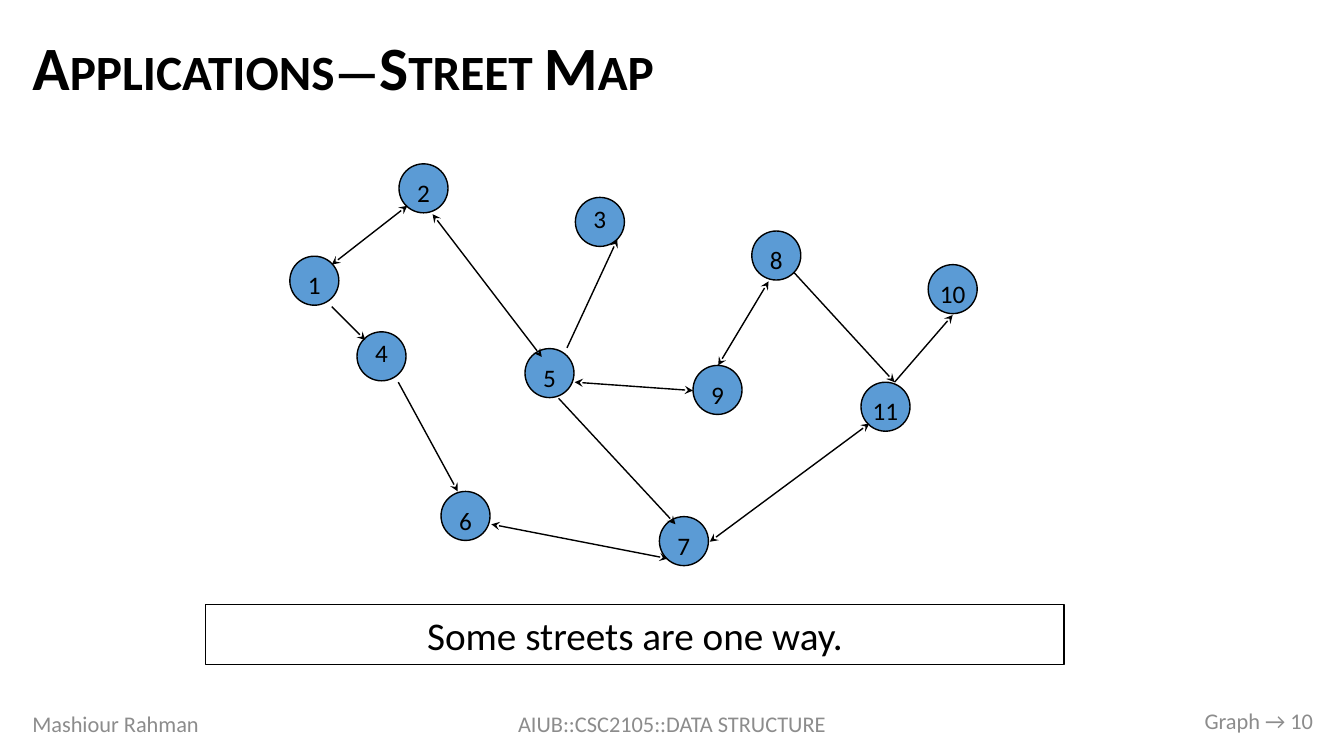
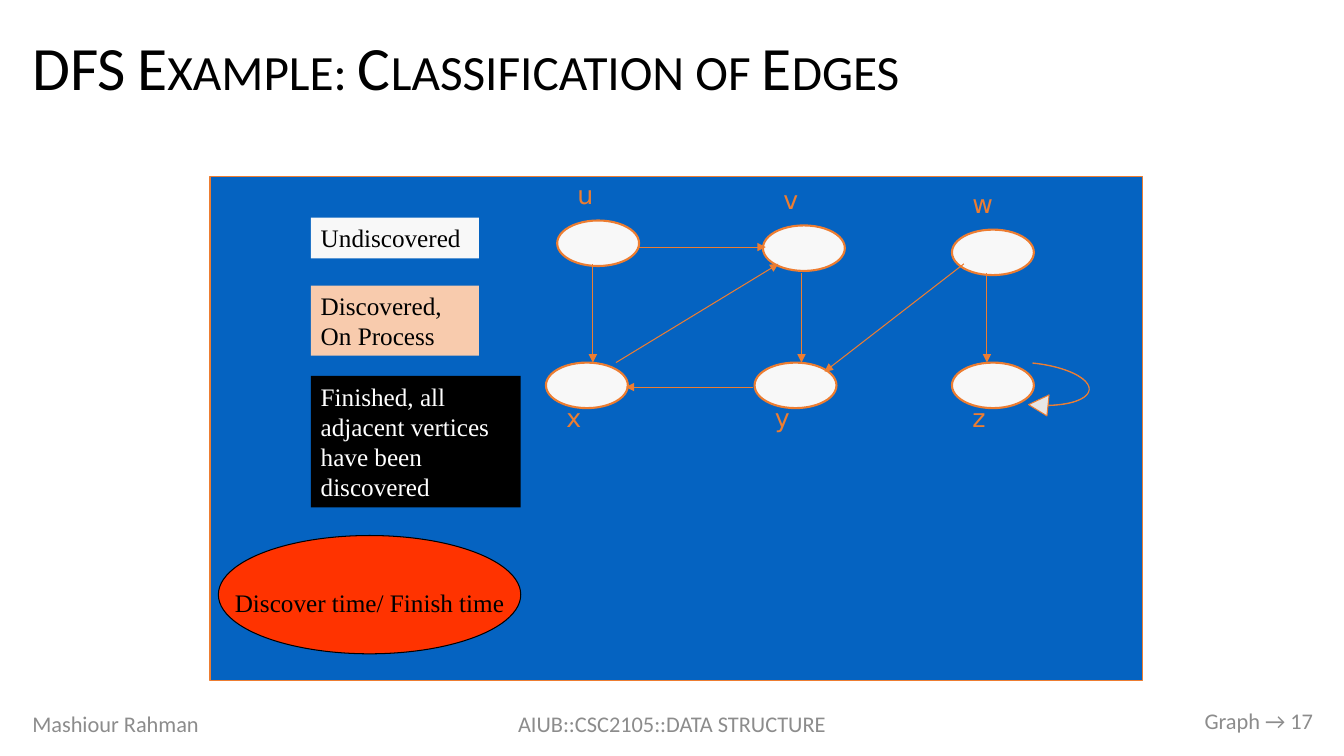
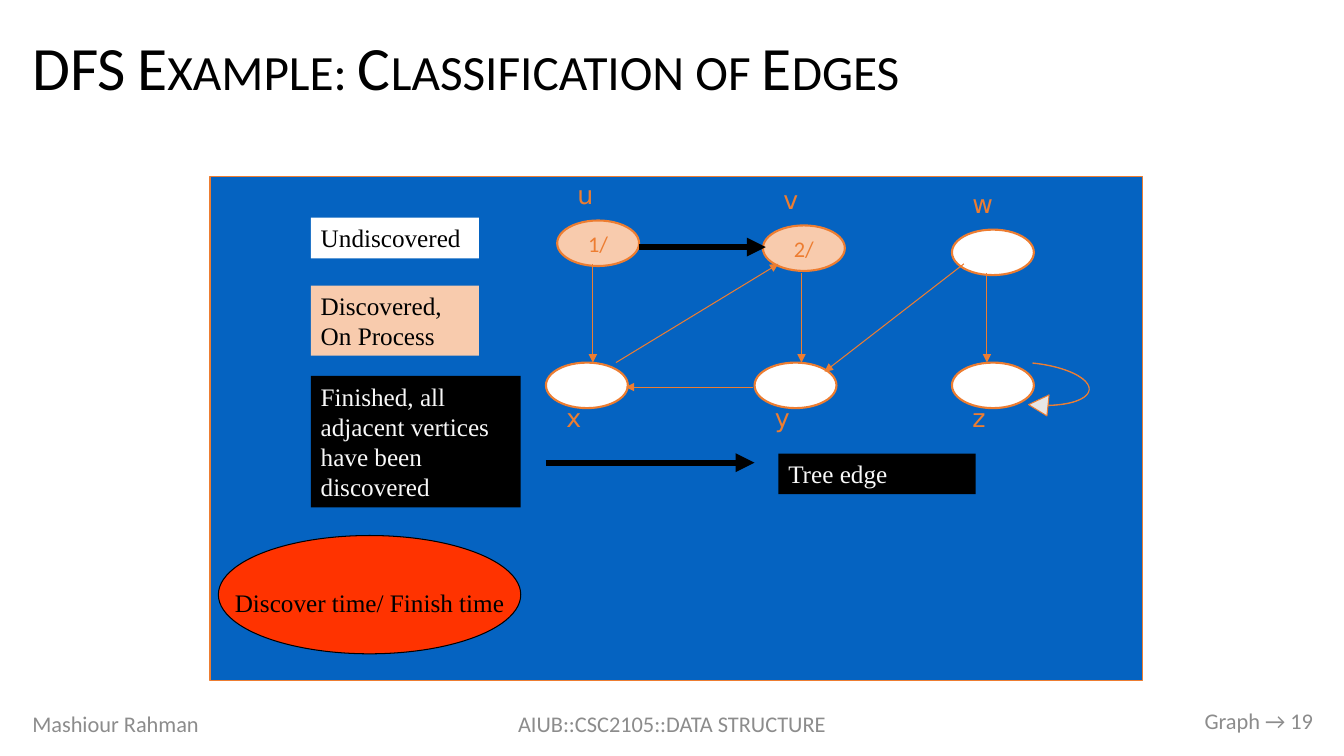
from lxml import etree
from pptx import Presentation
from pptx.dml.color import RGBColor
from pptx.enum.shapes import MSO_CONNECTOR, MSO_SHAPE
from pptx.enum.text import MSO_ANCHOR, MSO_AUTO_SIZE, PP_ALIGN
from pptx.oxml.ns import qn
from pptx.util import Pt

RECT, OVAL = MSO_SHAPE.RECTANGLE, MSO_SHAPE.OVAL
LOOP_ARROW = MSO_SHAPE.CURVED_DOWN_ARROW
STRAIGHT = MSO_CONNECTOR.STRAIGHT
LEFT, CENTER, RIGHT = PP_ALIGN.LEFT, PP_ALIGN.CENTER, PP_ALIGN.RIGHT
TOP, MIDDLE = MSO_ANCHOR.TOP, MSO_ANCHOR.MIDDLE

BLACK = RGBColor(0x00, 0x00, 0x00)
WHITE = RGBColor(0xFF, 0xFF, 0xFF)
OFF_WHITE = RGBColor(0xF8, 0xF8, 0xF8)
GRAY = RGBColor(0x8C, 0x8C, 0x8C)
LIGHT_GRAY = RGBColor(0xE7, 0xE6, 0xE6)
NODE_BLUE = RGBColor(0x5B, 0x9B, 0xD5)
PANEL_BLUE = RGBColor(0x05, 0x63, 0xC1)
ORANGE = RGBColor(0xED, 0x7D, 0x31)
PEACH = RGBColor(0xF8, 0xCB, 0xAD)
RED = RGBColor(0xFF, 0x33, 0x00)

SANS, LABEL_FONT, SERIF = "Calibri", "DejaVu Sans", "Times New Roman"


def put(slide, text, box, kind=None, fill=None, line=None, line_width=1, font=SANS,
        size=18, color=BLACK, align=LEFT, anchor=TOP, wrap=True,
        insets=(7.2, 3.6, 7.2, 3.6)):
    """Place a text box, or a preset shape when kind is given; insets run left, top, right, bottom."""
    box = [Pt(v) for v in box]
    if kind is None:
        shape = slide.shapes.add_textbox(*box)
    else:
        shape = slide.shapes.add_shape(kind, *box)
        shape.shadow.inherit = False
        if fill is None:
            shape.fill.background()
        else:
            shape.fill.solid()
            shape.fill.fore_color.rgb = fill
        if line is None:
            shape.line.fill.background()
        else:
            shape.line.color.rgb = line
            shape.line.width = Pt(line_width)
    if text:
        frame = shape.text_frame
        frame.word_wrap = wrap
        frame.vertical_anchor = anchor
        (frame.margin_left, frame.margin_top,
         frame.margin_right, frame.margin_bottom) = [Pt(v) for v in insets]
        paragraph = frame.paragraphs[0]
        paragraph.alignment = align
        run = paragraph.add_run()
        run.text = text
        run.font.name, run.font.size = font, Pt(size)
        run.font.color.rgb = color
    return shape


def link(slide, start, end, color=BLACK, width=1, head="stealth", two_way=False):
    """Draw an arrow from start to end, with a head at both ends if two_way."""
    arrow = slide.shapes.add_connector(STRAIGHT, *[Pt(v) for v in (*start, *end)])
    arrow.line.color.rgb = color
    arrow.line.width = Pt(width)
    properties = arrow.element.spPr
    outline = properties.find(qn("a:ln"))
    if two_way:
        etree.SubElement(outline, qn("a:headEnd"), type=head)
    etree.SubElement(outline, qn("a:tailEnd"), type=head)
    etree.SubElement(properties, qn("a:effectLst"))


deck = Presentation()
deck.slide_width, deck.slide_height = Pt(960), Pt(540)
title_only = deck.slide_layouts[5]

# Title and footer of every slide
DFS_TITLE = "DFS Example: Classification of Edges"
slides = []
for heading, bold, number in [
    ("Applications—Street Map", True, 10),
    (DFS_TITLE, False, 17),
    (DFS_TITLE, False, 19),
]:
    slide = deck.slides.add_slide(title_only)
    title = slide.shapes.title
    title.left, title.top, title.width, title.height = Pt(16), Pt(17), Pt(929), Pt(67)
    title.text_frame.text = heading
    title.text_frame.auto_size = MSO_AUTO_SIZE.NONE
    title.text_frame.vertical_anchor = MIDDLE
    paragraph = title.text_frame.paragraphs[0]
    paragraph.alignment = LEFT
    paragraph.line_spacing = 0.9
    font = paragraph.runs[0].font
    font.name, font.size, font.bold = SANS, Pt(44), bold
    font.color.rgb = BLACK
    paragraph.runs[0].font._element.set("cap", "small")

    for text, box, align in [
        ("Mashiour Rahman", (16, 502.5, 216, 29), LEFT),
        ("AIUB::CSC2105::DATA STRUCTURE", (318, 502.5, 324, 29), CENTER),
        (f"Graph → {number}", (729, 500.5, 216, 29), RIGHT),
    ]:
        put(slide, text, box, size=16, color=GRAY, align=align, anchor=MIDDLE)
    slides.append(slide)

street_map, dfs_start, dfs_tree_edge = slides

# Street map
put(street_map, "Some streets are one way.", (147, 432, 613, 42.5), RECT, fill=WHITE,
    line=BLACK, size=28, align=CENTER, anchor=MIDDLE)

JUNCTION_SIZE = 35
LOW, HIGH = (0, 6, 0, 0), (0, 0, 0, 5)
junctions = [
    (1, 207, 183, LOW), (2, 285, 117, LOW), (3, 411, 141, HIGH), (4, 255, 237, HIGH),
    (5, 375, 249, LOW), (6, 315, 351, LOW), (7, 471, 369, LOW), (8, 537, 165, LOW),
    (9, 495, 261, LOW), (10, 663, 189, LOW), (11, 615, 273, LOW),
]
for number, left, top, insets in junctions:
    put(street_map, str(number), (left, top, JUNCTION_SIZE, JUNCTION_SIZE), OVAL,
        fill=NODE_BLUE, line=BLACK, align=CENTER, anchor=MIDDLE, wrap=False, insets=insets)

two_way_streets = [
    ((291, 147), (237, 189)), ((309, 153), (387, 255)), ((351, 374.5), (477, 399)),
    ((549, 201), (513, 261)), ((410.5, 273), (495, 279)), ((507, 387), (621, 302.5)),
]
one_way_streets = [
    ((237, 219), (261, 243)), ((284.5, 273), (327, 351)), ((405, 248.5), (441, 171)),
    ((399, 284.5), (482.5, 374.5)), ((567, 194.5), (639, 273)), ((639, 273), (680.5, 225)),
]
for start, end in two_way_streets:
    link(street_map, start, end, two_way=True)
for start, end in one_way_streets:
    link(street_map, start, end)

# DFS steps
VERTEX_WIDTH, VERTEX_HEIGHT = 58.5, 32.5
ABOVE, BELOW = -33, 25
vertices = [
    ("u", 398, 157.5, ABOVE), ("v", 545, 161, ABOVE), ("w", 680, 164, ABOVE),
    ("x", 390, 259, BELOW), ("y", 539, 259, BELOW), ("z", 680, 259, BELOW),
]
edges = {
    "uv": ((456.5, 176.5), (547, 176.5)),
    "yx": ((538, 276.5), (447, 276.5)),
    "vy": ((572.5, 195), (572.5, 259)),
    "ux": ((423.5, 188.5), (423.5, 259)),
    "wz": ((705, 195), (705, 259)),
    "wy": ((688.5, 188.5), (589, 265.5)),
    "xv": ((440, 259), (556, 188.5)),
}
TREE_STYLE = {"color": BLACK, "width": 4.5, "head": "triangle"}
EDGE_STYLE = {"color": ORANGE, "width": 0.75, "head": "triangle"}

for slide, undiscovered, finished_text, times, tree_edges in [
    (dfs_start, OFF_WHITE, WHITE, {}, []),
    (dfs_tree_edge, WHITE, OFF_WHITE, {"u": "1/", "v": "2/"}, ["uv"]),
]:
    put(slide, "", (150, 126, 666, 360), RECT, fill=PANEL_BLUE, line=ORANGE, line_width=0.75)
    self_loop = put(slide, "", (738, 259, 37.5, 42), LOOP_ARROW, fill=LIGHT_GRAY,
                    line=ORANGE, line_width=0.75)
    self_loop.rotation = 95.8
    for index, value in enumerate((0.006, 0.402, 0.369)):
        self_loop.adjustments[index] = value

    for name, left, top, label_offset in vertices:
        put(slide, times.get(name, ""), (left, top, VERTEX_WIDTH, VERTEX_HEIGHT), OVAL,
            fill=PEACH if name in times else undiscovered, line=ORANGE, line_width=1.5,
            size=16, color=ORANGE, align=CENTER, anchor=MIDDLE, wrap=False)
        put(slide, name, (left + 1.5, top + label_offset, VERTEX_WIDTH, 29),
            font=LABEL_FONT, color=ORANGE, insets=(13, 3.6, 7.2, 3.6))

    for name, (start, end) in edges.items():
        link(slide, start, end, **(TREE_STYLE if name in tree_edges else EDGE_STYLE))

    legend = [
        ("Undiscovered", (222, 155.5, 120, 29), undiscovered, BLACK),
        ("Discovered, On Process", (222, 204, 120, 50), PEACH, BLACK),
        ("Finished, all adjacent vertices have been discovered",
         (222, 268.5, 150, 94), BLACK, finished_text),
    ]
    if tree_edges:
        link(slide, (390, 330.5), (539, 330.5), **TREE_STYLE)
        legend.append(("Tree edge", (556, 324, 141, 29), BLACK, OFF_WHITE))
    for text, box, fill, color in legend:
        put(slide, text, box, RECT, fill=fill, font=SERIF, color=color)
    put(slide, "Discover time/ Finish time", (156, 382.5, 216, 84.5), OVAL, fill=RED,
        line=BLACK, line_width=0.75, font=SERIF, align=CENTER, anchor=MIDDLE, wrap=False,
        insets=(7.2, 14, 7.2, 3.6))

deck.save("out.pptx")
